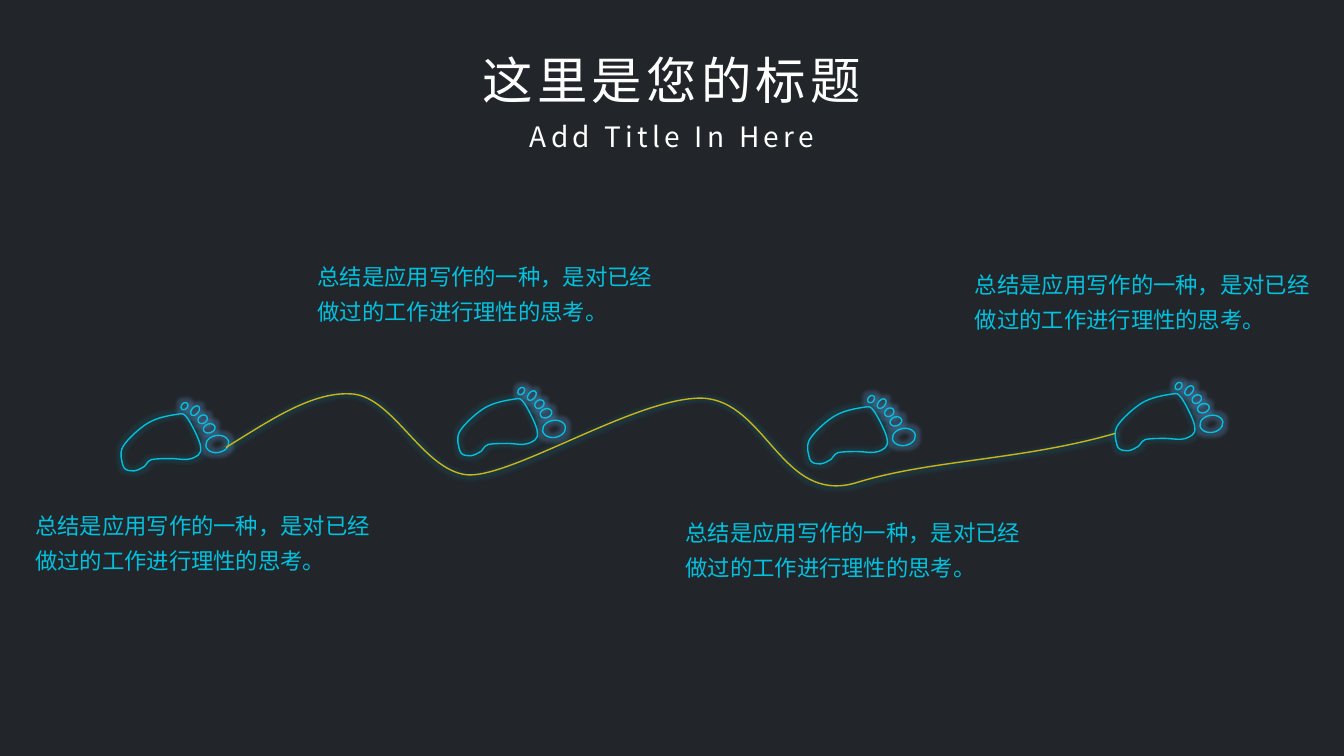
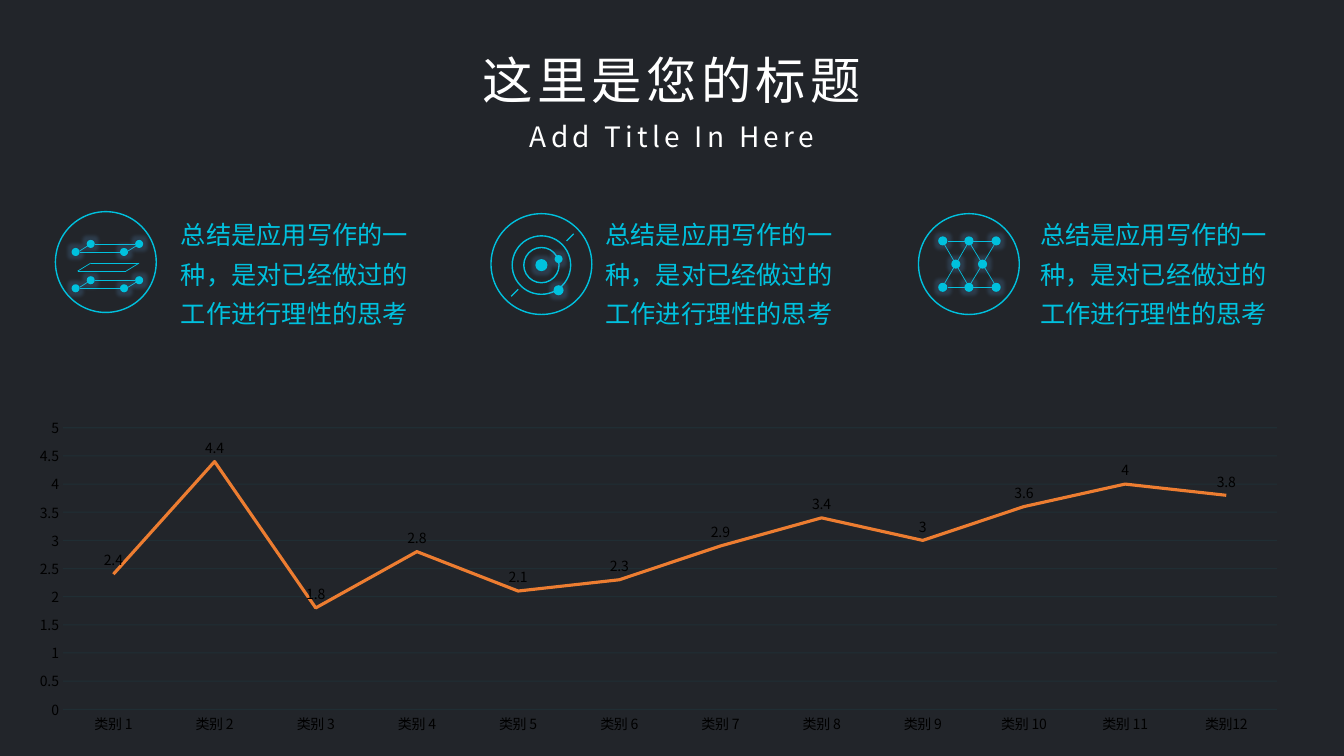
from math import cos, radians, sin

from lxml.etree import SubElement
from pptx import Presentation
from pptx.chart.data import CategoryChartData
from pptx.dml.color import RGBColor as Rgb
from pptx.enum.chart import XL_CHART_TYPE as ChartType, XL_LABEL_POSITION as LabelSpot
from pptx.enum.chart import XL_MARKER_STYLE as Marker, XL_TICK_MARK as Tick
from pptx.enum.shapes import MSO_CONNECTOR as Connector, MSO_SHAPE as Shape
from pptx.enum.text import MSO_ANCHOR as Anchor, MSO_AUTO_SIZE as AutoSize, PP_ALIGN as Align
from pptx.oxml.ns import qn
from pptx.util import Inches, Pt

WIDTH, HEIGHT = 13.33, 7.5
FONT = "Noto Sans CJK SC"
COLOURS = {
    "ground": "22252A", "cyan": "00C1DE", "white": "FFFFFF", "black": "000000",
    "halo": "5B9BD5", "trail": "C9B41C", "series": "ED7D31",
}
COLOURS = {name: Rgb.from_string(value) for name, value in COLOURS.items()}


def style(item, line=None, width=1, fill=None, glow=None, strength=28):
    """Set line and fill of a shape or connector, and replace its shadow by a glow."""
    if line:
        item.line.color.rgb = COLOURS[line]
        item.line.width = Pt(width)
    else:
        item.line.fill.background()
    if fill:
        item.fill.solid()
        item.fill.fore_color.rgb = COLOURS[fill]
    elif hasattr(item, "fill"):
        item.fill.background()
    effects = SubElement(item._element.spPr, qn("a:effectLst"))
    if glow:
        halo = SubElement(effects, qn("a:glow"), rad=str(Pt(5)))
        colour = SubElement(halo, qn("a:srgbClr"), val=str(COLOURS[glow]))
        SubElement(colour, qn("a:alpha"), val=str(strength * 1000))


def trace(shapes, box, start, curves, closed=False, turn=0):
    """Draw cubic curves (two handles and an end point each) in a box turned by an angle."""
    left, top, width, height = box
    cosine, sine = cos(radians(turn)), sin(radians(turn))
    knots = []
    for x, y in [start, *(pair for curve in curves for pair in zip(curve[::2], curve[1::2]))]:
        x, y = x - left - width / 2, y - top - height / 2
        knots.append((Inches(x * cosine + y * sine + width / 2),
                      Inches(y * cosine - x * sine + height / 2)))
    builder = shapes.build_freeform(*knots[0], scale=1.0)
    builder.add_line_segments(knots[3::3], close=closed)
    outline = builder.convert_to_shape()
    outline.left, outline.top, outline.width, outline.height = map(Inches, box)
    outline.rotation = turn
    route = next(outline._element.iter(qn("a:path")))
    route.set("w", str(Inches(width)))
    route.set("h", str(Inches(height)))
    first = next(route.iter(qn("a:pt")))
    first.set("x", str(knots[0][0]))
    first.set("y", str(knots[0][1]))
    for number, segment in enumerate(route.findall(qn("a:lnTo"))):
        segment.tag = qn("a:cubicBezTo")
        segment.remove(segment[0])
        for x, y in knots[3 * number + 1:3 * number + 4]:
            SubElement(segment, qn("a:pt"), x=str(x), y=str(y))
    return outline


deck = Presentation()
deck.slide_width, deck.slide_height = Inches(WIDTH), Inches(HEIGHT)
ground = deck.slide_master.background.fill
ground.solid()
ground.fore_color.rgb = COLOURS["ground"]
title_only = deck.slide_layouts[5]
steps_page, trend_page = pages = [deck.slides.add_slide(title_only) for _ in range(2)]

# Headings and captions: box, place, text, size, colour, alignment, line spacing, tracking
texts = []
for page in pages:
    for box, text, top, width, height, size in (
        (page.shapes.title, "这里是您的标题", 0.44, 5.81, 0.71, 36),
        (page.shapes.add_textbox(0, 0, 0, 0), "Add Title In Here", 1.14, 3.7, 0.44, 20),
    ):
        place = ((WIDTH - width) / 2, top, width, height)
        texts.append((box, place, text, size, "white", Align.CENTER, 1, 300))

summary = "总结是应用写作的一种，是对已经做过的工作进行理性的思考"
for left, top in ((0.25, 4.95), (3.05, 2.48), (9.57, 2.56), (6.7, 5.02)):
    box = steps_page.shapes.add_textbox(0, 0, 0, 0)
    texts.append((box, (left, top, 3.74, 0.77), summary + "。", 16, "cyan", Align.LEFT, 1.3, 0))
for left in (1.68, 5.89, 10.2):
    box = trend_page.shapes.add_textbox(0, 0, 0, 0)
    texts.append((box, (left, 2.04, 2.48, 1.28), summary, 18, "cyan", Align.CENTER, 1.3, 0))

for box, place, text, size, colour, align, spacing, tracking in texts:
    box.left, box.top, box.width, box.height = map(Inches, place)
    frame = box.text_frame
    frame.word_wrap = True
    frame.auto_size = AutoSize.SHAPE_TO_FIT_TEXT
    frame.vertical_anchor = Anchor.TOP
    frame.text = text
    para = frame.paragraphs[0]
    para.alignment, para.line_spacing = align, spacing
    para.font.size = Pt(size)
    para.font.color.rgb = COLOURS[colour]
    para.font.name = FONT
    para.font._rPr.set("spc", str(tracking))
    SubElement(para.font._rPr, qn("a:ea"), typeface=FONT)

# Footprints, measured from the top left corner of each foot
toes = (
    (0.62, 0, 0.06, 0.08, 39), (0.72, 0.03, 0.07, 0.11, 39), (0.79, 0.12, 0.08, 0.1, 55),
    (0.85, 0.2, 0.09, 0.12, 71), (0.89, 0.3, 0.17, 0.23, 80),
)
sole = (
    (0.64, 0.11, 0.64, 0.11, 0.58, 0.12), (0.51, 0.13, 0.39, 0.15, 0.3, 0.2),
    (0.21, 0.25, 0.08, 0.37, 0.04, 0.44), (0, 0.51, 0.03, 0.59, 0.04, 0.63),
    (0.05, 0.67, 0.09, 0.68, 0.12, 0.68), (0.15, 0.69, 0.2, 0.67, 0.23, 0.65),
    (0.27, 0.64, 0.27, 0.59, 0.32, 0.57), (0.37, 0.56, 0.45, 0.56, 0.51, 0.56),
    (0.58, 0.56, 0.67, 0.58, 0.72, 0.56), (0.77, 0.54, 0.82, 0.52, 0.81, 0.45),
    (0.81, 0.39, 0.72, 0.22, 0.68, 0.16),
)
for left, top in ((1.18, 3.99), (4.52, 3.84), (7.99, 3.92), (11.04, 3.79)):
    foot = steps_page.shapes.add_group_shape().shapes
    outline = trace(foot, (0.13, 0.05, 0.53, 0.79), (0.68, 0.16), sole, True, 60)
    outline.left += Inches(left)
    outline.top += Inches(top)
    style(outline, "cyan", glow="cyan", strength=10)
    for x, y, width, height, turn in toes:
        toe = foot.add_shape(
            Shape.OVAL, Inches(left + x), Inches(top + y), Inches(width), Inches(height))
        toe.rotation = turn
        style(toe, "cyan", glow="halo")

# Trail that links the footprints
trail = (
    (2.68, 4.17, 3.11, 3.87, 3.51, 3.91), (3.91, 3.96, 4.19, 4.65, 4.62, 4.71),
    (5.05, 4.76, 6.31, 3.94, 6.96, 3.95), (7.6, 3.97, 7.75, 5.01, 8.49, 4.79),
    (9.23, 4.56, 10.12, 4.57, 11.06, 4.3),
)
path_line = trace(steps_page.shapes, (2.24, 3.91, 8.82, 0.91), (2.24, 4.44), trail)
style(path_line, "trail", glow="cyan", strength=10)

# Line chart
chart_data = CategoryChartData()
chart_data.categories = [f"类别 {number}" for number in range(1, 12)] + ["类别12"]
chart_data.add_series("Series 1", (2.4, 4.4, 1.8, 2.8, 2.1, 2.3, 2.9, 3.4, 3, 3.6, 4, 3.8))
chart = trend_page.shapes.add_chart(
    ChartType.LINE, Inches(0.14), Inches(4.08), Inches(12.78), Inches(3.26), chart_data).chart
chart.has_legend = chart.has_title = False
chart.font.size = Pt(10)
chart.font.color.rgb = COLOURS["black"]
chart.font.name = FONT
SubElement(chart.font._rPr, qn("a:ea"), typeface=FONT)
for axis in (chart.category_axis, chart.value_axis):
    axis.major_tick_mark = axis.minor_tick_mark = Tick.NONE
    axis.format.line.fill.background()
values = chart.value_axis
values.minimum_scale, values.maximum_scale, values.major_unit = 0, 5, 0.5
grid = values.major_gridlines.format.line
grid.color.rgb = COLOURS["cyan"]
grid.width = Pt(0.75)
for colour in values.major_gridlines._xAx.iter(qn("a:srgbClr")):
    if colour.get("val") == str(COLOURS["cyan"]):
        SubElement(colour, qn("a:alpha"), val="5000")
plot = chart.plots[0]
plot.vary_by_categories = False
plot.has_data_labels = True
plot.data_labels.show_value = True
plot.data_labels.position = LabelSpot.ABOVE
series = plot.series[0]
series.smooth = False
series.marker.style = Marker.NONE
series.format.line.color.rgb = COLOURS["series"]
series.format.line.width = Pt(2.25)

# Icons, measured in shares of their one-inch frame:
# lines are x1, y1, x2, y2; rings and dots are centre x, centre y, diameter
frame_ring = (0.5, 0.5, 1)
circuit_lines = [(0.35, 0.51, 0.83, 0.51), (0.22, 0.59, 0.7, 0.59),
                 (0.35, 0.51, 0.22, 0.59), (0.83, 0.51, 0.7, 0.59)]
circuit_dots = []
for y in (0.32, 0.68):
    circuit_lines += [(0.39, y, 0.79, y), (0.24, y + 0.08, 0.64, y + 0.08)]
    for x in (0.35, 0.83):
        circuit_lines.append((x - 0.03, y + 0.02, x - 0.11, y + 0.07))
        circuit_dots += [(x, y, 0.08), (x - 0.15, y + 0.08, 0.08)]

columns, top_row, low_row = (0.24, 0.5, 0.77), 0.27, 0.73
lattice_lines = [(0.29, y, 0.73, y) for y in (top_row, low_row)]
lattice_dots = [(x, y, 0.09) for x in columns for y in (top_row, low_row)]
for x1, x2 in zip(columns, columns[1:]):
    lattice_lines += [(x1 + 0.02, top_row + 0.04, x2 - 0.02, low_row - 0.04),
                      (x2 - 0.02, top_row + 0.04, x1 + 0.02, low_row - 0.04)]
    lattice_dots.append(((x1 + x2) / 2, 0.5, 0.09))

orbit_lines = [(0.82, 0.2, 0.75, 0.27), (0.27, 0.75, 0.2, 0.82)]
orbit_rings = [(0.5, 0.51, 0.35), (0.5, 0.51, 0.58)]
orbit_dots = [(0.5, 0.51, 0.12), (0.67, 0.45, 0.08), (0.67, 0.76, 0.1)]

for left, top, lines, weight, rings, dots in (
    (0.55, 2.1, circuit_lines, 0.5, [], circuit_dots),
    (4.87, 2.12, orbit_lines, 1, orbit_rings, orbit_dots),
    (9.11, 2.12, lattice_lines, 0.5, [], lattice_dots),
):
    icon = trend_page.shapes.add_group_shape().shapes
    for x1, y1, x2, y2 in lines:
        link = icon.add_connector(
            Connector.STRAIGHT, Inches(left + x1), Inches(top + y1),
            Inches(left + x2), Inches(top + y2))
        style(link, "cyan", weight)
    for circles, look in (
        ([frame_ring, *rings], {"line": "cyan"}),
        (dots, {"fill": "cyan", "glow": "halo", "strength": 20}),
    ):
        for x, y, size in circles:
            circle = icon.add_shape(
                Shape.OVAL, Inches(left + x - size / 2), Inches(top + y - size / 2),
                Inches(size), Inches(size))
            style(circle, **look)

deck.save("out.pptx")
